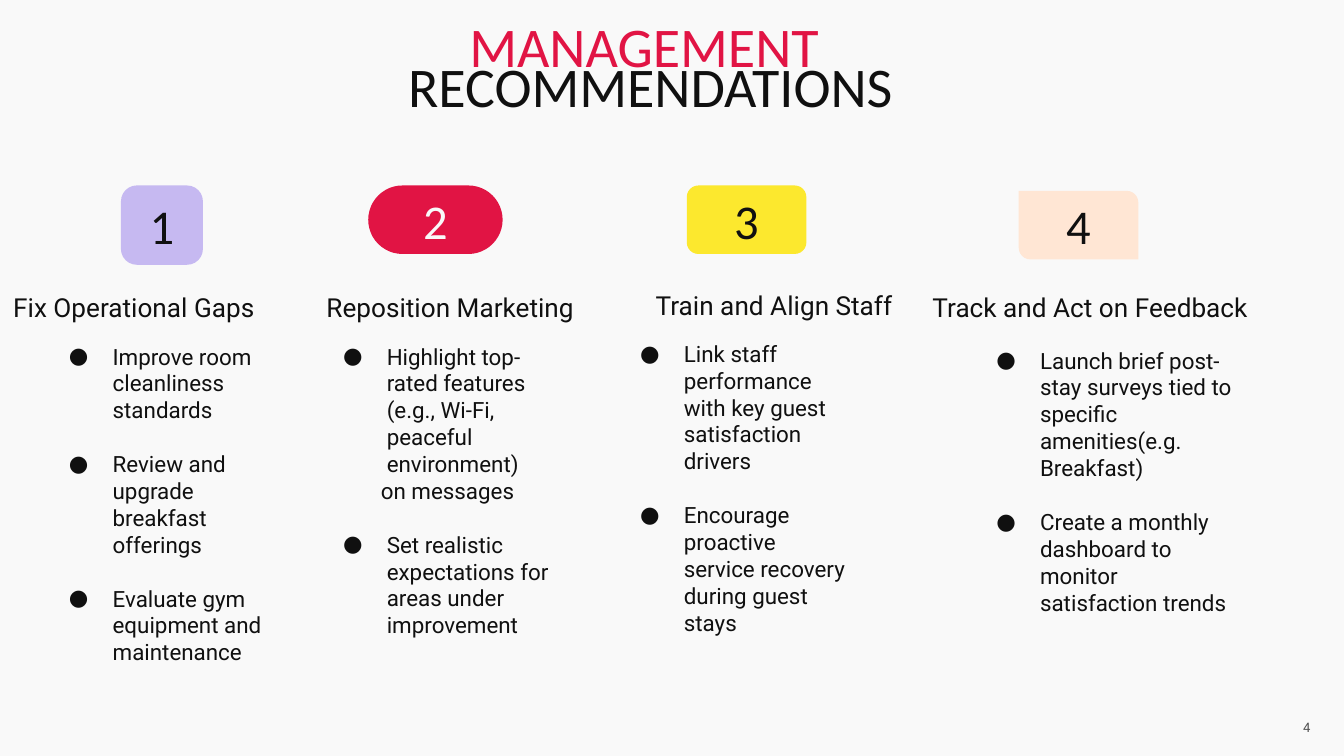
from lxml import etree
from pptx import Presentation
from pptx.dml.color import RGBColor
from pptx.enum.shapes import MSO_SHAPE
from pptx.enum.text import MSO_ANCHOR, MSO_AUTO_SIZE, PP_ALIGN
from pptx.oxml.ns import qn
from pptx.util import Inches, Pt

ROUND, DIAGONAL = MSO_SHAPE.ROUNDED_RECTANGLE, MSO_SHAPE.ROUND_2_DIAG_RECTANGLE
LEFT, CENTER, RIGHT = PP_ALIGN.LEFT, PP_ALIGN.CENTER, PP_ALIGN.RIGHT
TOP, MIDDLE = MSO_ANCHOR.TOP, MSO_ANCHOR.MIDDLE
NO_FIT = MSO_AUTO_SIZE.NONE

PAPER = RGBColor(0xF9, 0xF9, 0xF9)
INK = RGBColor(0x10, 0x10, 0x10)
GRAY = RGBColor(0x4E, 0x4E, 0x4E)
RED = RGBColor(0xE1, 0x14, 0x44)
LILAC = RGBColor(0xC6, 0xB9, 0xF1)
YELLOW = RGBColor(0xFC, 0xE8, 0x2E)
PEACH = RGBColor(0xFF, 0xE6, 0xD4)

WIDTH = Inches(10)
HEIGHT = WIDTH * 9 // 16
UNIT = WIDTH // 100
LINE_GAP = Pt(14.4)

BADGES = [
    (ROUND, (9, 13.8, 6.1, 5.9), [0.2], LILAC, INK),
    (ROUND, (27.4, 13.8, 10, 5.1), [0.5], RED, PAPER),
    (ROUND, (51.1, 13.8, 8.9, 5.1), [0.17], YELLOW, INK),
    (DIAGONAL, (75.8, 14.2, 8.9, 5.1), [0, 0.17], PEACH, INK),
]
HEADINGS = [
    ("Fix Operational Gaps", (0, 20.7, 24.1, 5.9), LEFT),
    ("Reposition Marketing", (23, 20.7, 21, 4.6), CENTER),
    ("Train and Align Staff", (42.1, 20.5, 31, 5.1), CENTER),
    ("Track and Act on Feedback", (68.4, 20.7, 31, 5.9), LEFT),
]
CONTINUATION = "on messages"
LISTS = [
    ((2.4, 25.5, 19.4, 28.9), [
        "Improve room cleanliness standards",
        "Review and upgrade breakfast offerings",
        "Evaluate gym equipment and maintenance"]),
    ((22.8, 25.5, 19.4, 25.7), [
        "Highlight top-rated features (e.g., Wi-Fi, peaceful environment)",
        CONTINUATION,
        "Set realistic expectations for areas under improvement"]),
    ((44.9, 25.3, 19.4, 24.7), [
        "Link staff performance with key guest satisfaction drivers",
        "Encourage proactive service recovery during guest stays"]),
    ((71.4, 25.8, 21.8, 21.2), [
        "Launch brief post-stay surveys tied to specific amenities(e.g. Breakfast)",
        "Create a monthly dashboard to monitor satisfaction trends"]),
]


def grid(box):
    return [round(n * UNIT) for n in box]


def setup_frame(tf, insets, anchor=TOP):
    tf.word_wrap = True
    tf.auto_size = NO_FIT
    tf.vertical_anchor = anchor
    tf.margin_left, tf.margin_top, tf.margin_right, tf.margin_bottom = grid(insets)


def add_run(p, text, size, font, color):
    r = p.add_run()
    r.text = text
    r.font.size = Pt(size)
    r.font.name = font
    r.font.color.rgb = color


def set_indent(p, left, first):
    pPr = p._p.get_or_add_pPr()
    pPr.set("marL", str(round(left * UNIT)))
    pPr.set("indent", str(round(first * UNIT)))
    return pPr


def add_bullet(p):
    pPr = set_indent(p, 5, -3.25)
    color = etree.SubElement(pPr, qn("a:buClr"))
    etree.SubElement(color, qn("a:srgbClr"), val=str(INK))
    etree.SubElement(pPr, qn("a:buFont"), typeface="Roboto")
    etree.SubElement(pPr, qn("a:buChar"), char="●")


def add_label(slide, text, box, align, size, color, insets=(1, 1, 1, 1)):
    tf = slide.shapes.add_textbox(*grid(box)).text_frame
    setup_frame(tf, insets)
    p = tf.paragraphs[0]
    p.alignment = align
    add_run(p, text, size, "Roboto", color)


def add_list(slide, box, items):
    tf = slide.shapes.add_textbox(*grid(box)).text_frame
    setup_frame(tf, (1, 0, 1, 1))
    for i, item in enumerate(items):
        p = tf.add_paragraph() if i else tf.paragraphs[0]
        if item == CONTINUATION:
            set_indent(p, 4.55, 0)
        else:
            add_bullet(p)
            if i:
                p.space_before = LINE_GAP
        add_run(p, item, 12, "Roboto", INK)


def add_badge(slide, number, kind, box, radii, fill, color):
    sp = slide.shapes.add_shape(kind, *grid(box))
    sp.shadow.inherit = False
    for i, radius in enumerate(radii):
        sp.adjustments[i] = radius
    sp.fill.solid()
    sp.fill.fore_color.rgb = fill
    sp.line.fill.background()
    tf = sp.text_frame
    setup_frame(tf, (1, 1, 1, 1), MIDDLE)
    p = tf.paragraphs[0]
    p.alignment = CENTER
    p.space_after = Pt(3)
    add_run(p, str(number), 26, "Calibri", color)


def set_title(slide, lines):
    title = slide.shapes.title
    title.left, title.top, title.width, title.height = grid((1.4, 1.6, 95, 9.6))
    tf = title.text_frame
    setup_frame(tf, (0, 1, 1, 0))
    for i, (text, color) in enumerate(lines):
        p = tf.add_paragraph() if i else tf.paragraphs[0]
        p.alignment = CENTER
        p.line_spacing = 0.6
        p.space_before = Pt(0)
        add_run(p, text, 30, "Calibri", color)


def main():
    prs = Presentation()
    prs.slide_width, prs.slide_height = WIDTH, HEIGHT
    slide = prs.slides.add_slide(prs.slide_layouts[5])
    slide.background.fill.solid()
    slide.background.fill.fore_color.rgb = PAPER

    set_title(slide, [("MANAGEMENT ", RED), ("RECOMMENDATIONS", INK)])
    for number, badge in enumerate(BADGES, 1):
        add_badge(slide, number, *badge)
    for text, box, align in HEADINGS:
        add_label(slide, text, box, align, 14, INK)
    for box, items in LISTS:
        add_list(slide, box, items)
    add_label(slide, "4", (90, 52.5, 7.5, 2.3), RIGHT, 7, GRAY, (0, 1, 0, 1))
    prs.save("out.pptx")


if __name__ == "__main__":
    main()
